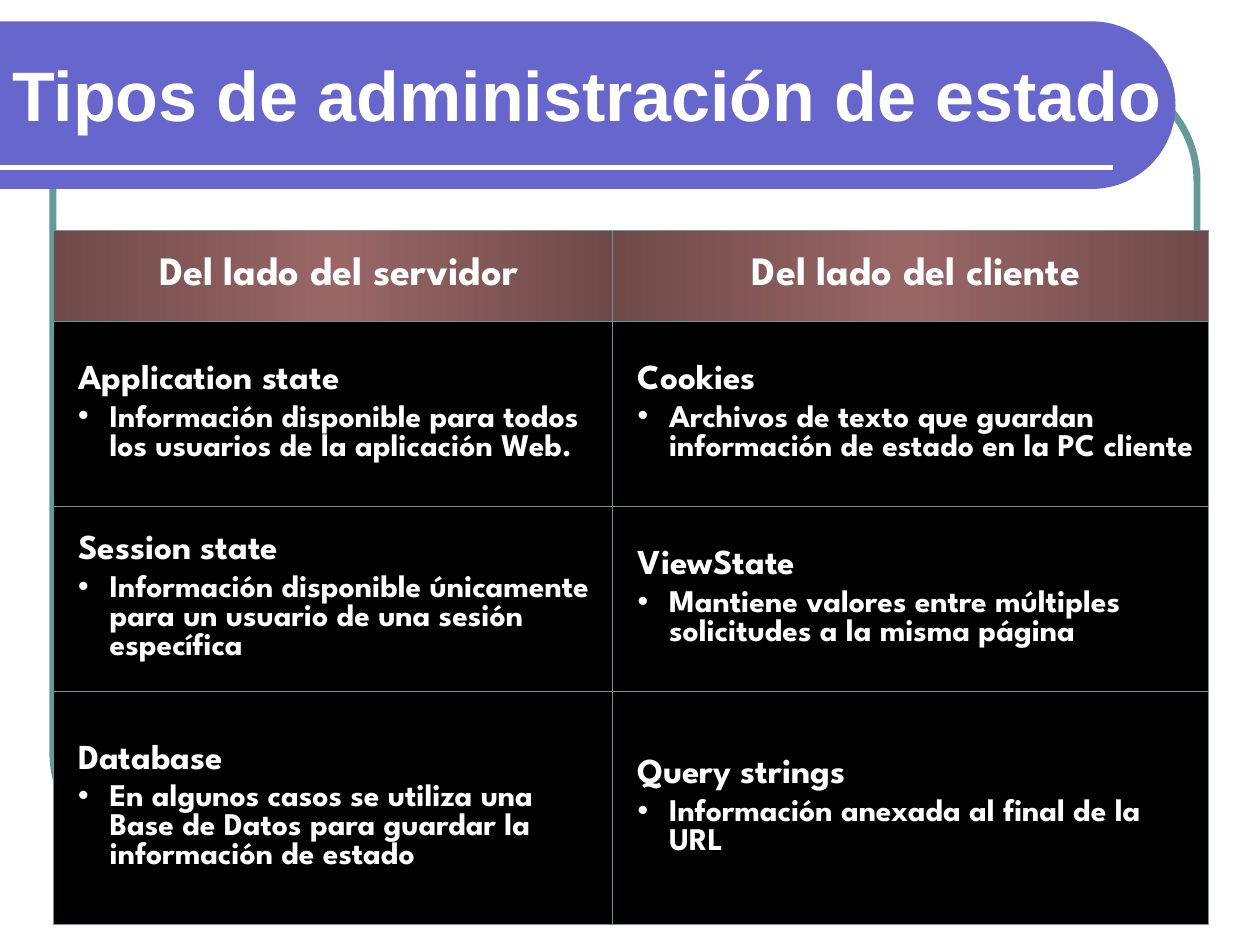
import copy
import math

import pptx
import pptx.dml.color
import pptx.enum.shapes
import pptx.enum.text
import pptx.oxml
import pptx.oxml.ns
import pptx.util

Inches, Pt = pptx.util.Inches, pptx.util.Pt
MIDDLE = pptx.enum.text.MSO_ANCHOR.MIDDLE
ALIGN = pptx.enum.text.PP_ALIGN

COLORS = {"white": "FFFFFF", "black": "000000", "violet": "6666CC", "teal": "669999",
          "rose": "996666", "dark_rose": "704A4A"}
FORMATS = {
    "title": {"size": Pt(40), "name": "Arial", "bold": True},
    "header": {"size": Pt(23), "name": "League Spartan", "bold": True},
    "term": {"size": Pt(20), "name": "League Spartan", "bold": True},
    "detail": {"size": Pt(18), "name": "League Spartan", "bold": True},
}
HEADERS = ["Del lado del servidor", "Del lado del cliente"]
ROWS = [
    [("Application state", "Información disponible para todos los usuarios de la aplicación Web."),
     ("Cookies", "Archivos de texto que guardan información de estado en la PC cliente")],
    [("Session state", "Información disponible únicamente para un usuario de una sesión específica"),
     ("ViewState", "Mantiene valores entre múltiples solicitudes a la misma página")],
    [("Database", "En algunos casos se utiliza una Base de Datos para guardar la información de estado"),
     ("Query strings", "Información anexada al final de la URL")],
]
COL_WIDTHS = [4.44, 4.73]
ROW_HEIGHTS = [0.72, 1.47, 1.47, 1.85]


def rgb(name):
    return pptx.dml.color.RGBColor.from_string(COLORS[name])


def xml(tag, body):
    return pptx.oxml.parse_xml(f"<a:{tag} {pptx.oxml.ns.nsdecls('a')}{body}")


class SlideBuilder:
    """Draws styled elements on the current slide."""

    def __init__(self, s):
        self.s = s

    def add_text(self, p, text, style):
        r = p.add_run()
        r.text = text
        for key, value in FORMATS[style].items():
            setattr(r.font, key, value)
        r.font.color.rgb = rgb("white")

    def frame(self, x, y, w, h):
        sp = self.s.shapes.add_shape(pptx.enum.shapes.MSO_SHAPE.ROUNDED_RECTANGLE,
                                     Inches(x), Inches(y), Inches(w), Inches(h))
        sp.adjustments[0] = 0.137
        sp.shadow.inherit = False
        sp.fill.background()
        sp.line.color.rgb = rgb("teal")
        sp.line.width = Pt(4)

    def banner(self, top, bottom, right):
        radius = (bottom - top) / 2
        angles = [math.radians(a) for a in range(-90, 91, 3)]
        arc = [(Inches(right - radius + radius * math.cos(a)),
                Inches(top + radius + radius * math.sin(a))) for a in angles]
        builder = self.s.shapes.build_freeform(0, Inches(top))
        builder.add_line_segments(arc + [(0, Inches(bottom))], close=True)
        sp = builder.convert_to_shape()
        sp.shadow.inherit = False
        sp.fill.solid()
        sp.fill.fore_color.rgb = rgb("violet")
        sp.line.fill.background()

    def rule(self, x1, x2, y):
        line = self.s.shapes.add_connector(pptx.enum.shapes.MSO_CONNECTOR.STRAIGHT,
                                           Inches(x1), Inches(y), Inches(x2), Inches(y))
        line.line.color.rgb = rgb("white")
        line.line.width = Pt(3)
        line._element.spPr.append(xml("effectLst", "/>"))

    def title(self, text, x, y, w, h):
        tf = self.s.shapes.add_textbox(Inches(x), Inches(y), Inches(w), Inches(h)).text_frame
        tf.word_wrap = True
        tf.vertical_anchor = MIDDLE
        self.add_text(tf.paragraphs[0], text, "title")

    def cell(self, cell):
        cell.vertical_anchor = MIDDLE
        cell.margin_left = Inches(0.2)
        tcPr = cell._tc.get_or_add_tcPr()
        for side in ("lnL", "lnR", "lnT", "lnB"):
            tcPr.append(xml(side, f' w="{Pt(0.45)}"><a:solidFill><a:srgbClr val="{COLORS["teal"]}"/>'
                                  f"</a:solidFill></a:{side}>"))

    def header_cell(self, cell, text):
        self.cell(cell)
        cell.fill.gradient()
        cell.fill.gradient_angle = 0
        first = cell._tc.tcPr.find(pptx.oxml.ns.qn("a:gradFill")).gsLst[0]
        first.addnext(copy.deepcopy(first))
        for stop, place, name in zip(cell.fill.gradient_stops, (0, 0.5, 1),
                                     ("dark_rose", "rose", "dark_rose")):
            stop.position = place
            stop.color.rgb = rgb(name)
        p = cell.text_frame.paragraphs[0]
        p.alignment = ALIGN.CENTER
        self.add_text(p, text, "header")

    def body_cell(self, cell, term, detail):
        self.cell(cell)
        cell.fill.solid()
        cell.fill.fore_color.rgb = rgb("black")
        tf = cell.text_frame
        self.add_text(tf.paragraphs[0], term, "term")
        p = tf.add_paragraph()
        pPr = p._p.get_or_add_pPr()
        for props in (tf.paragraphs[0]._p.get_or_add_pPr(), pPr):
            props.set("marL", str(Inches(0.25)))
            props.set("indent", str(Inches(-0.25)))
        pPr.append(xml("buClr", f'><a:srgbClr val="{COLORS["white"]}"/></a:buClr>'))
        pPr.append(xml("buChar", ' char="•"/>'))
        p.space_before = Pt(4.5)
        self.add_text(p, detail, "detail")

    def table(self, x, y):
        table = self.s.shapes.add_table(len(ROW_HEIGHTS), len(COL_WIDTHS), Inches(x), Inches(y),
                                        Inches(sum(COL_WIDTHS)), Inches(sum(ROW_HEIGHTS))).table
        for column, width in zip(table.columns, COL_WIDTHS):
            column.width = Inches(width)
        for row, height in zip(table.rows, ROW_HEIGHTS):
            row.height = Inches(height)
        for j, text in enumerate(HEADERS):
            self.header_cell(table.cell(0, j), text)
        for i, row in enumerate(ROWS, 1):
            for j, (term, detail) in enumerate(row):
                self.body_cell(table.cell(i, j), term, detail)


def main():
    prs = pptx.Presentation()
    prs.slide_width, prs.slide_height = Inches(10), Inches(7.5)
    slide = SlideBuilder(prs.slides.add_slide(prs.slide_layouts[6]))
    slide.frame(0.42, 0.58, 9.08, 6.25)
    slide.banner(0.17, 1.5, 9.33)
    slide.rule(0, 8.83, 1.33)
    slide.title("Tipos de administración de estado", 0, 0.39, 10, 0.7)
    slide.table(0.42, 1.83)
    prs.save("out.pptx")


if __name__ == "__main__":
    main()
